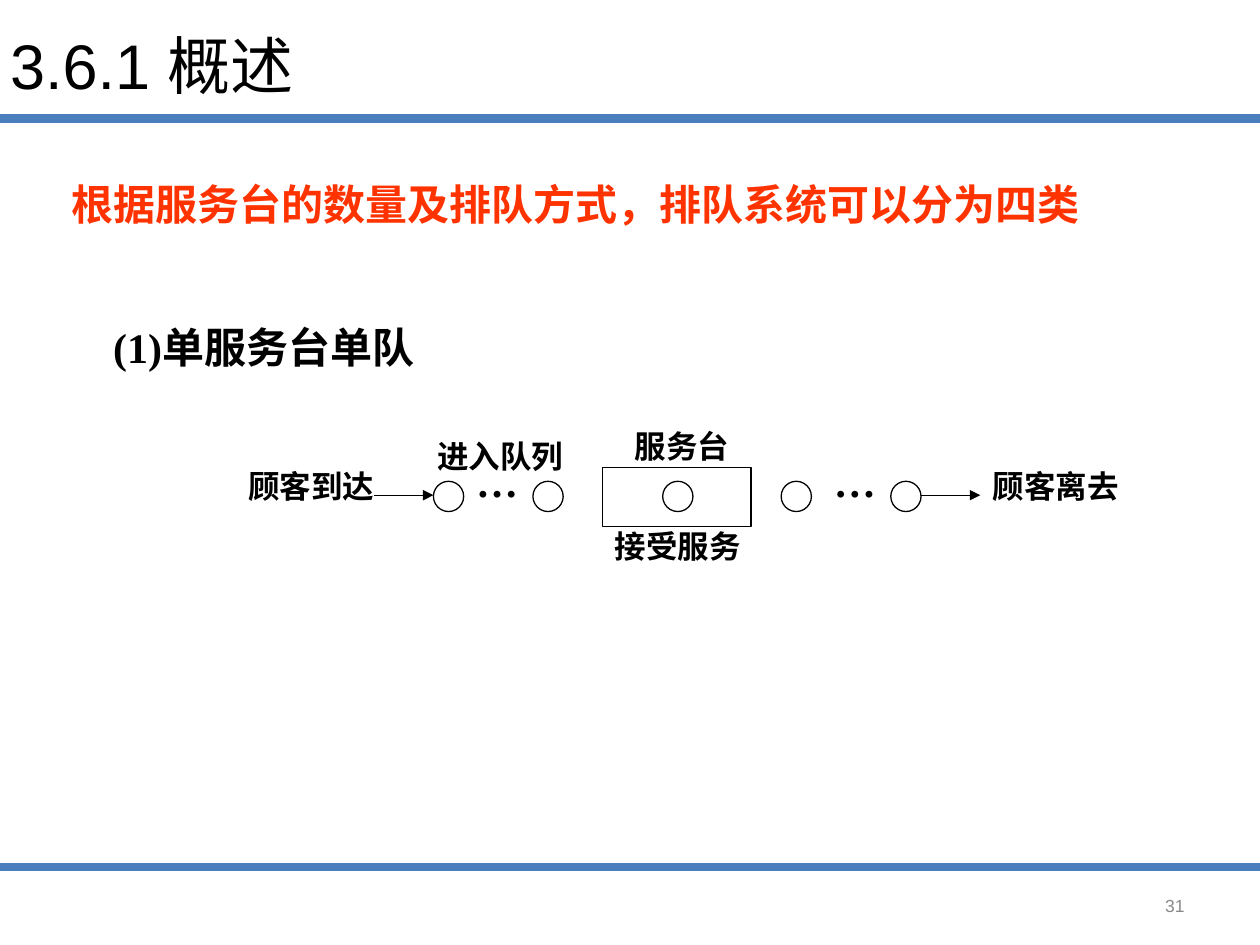
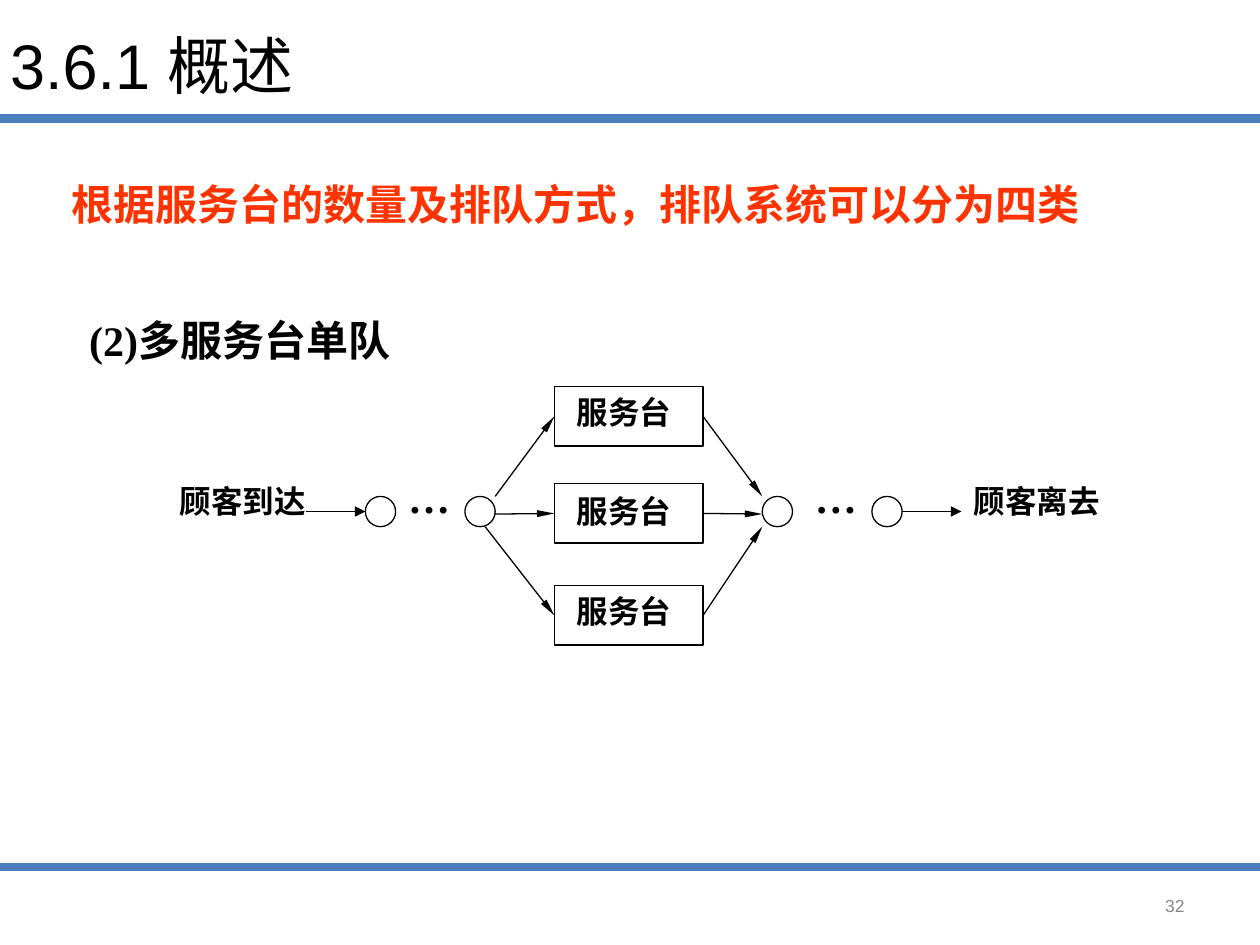
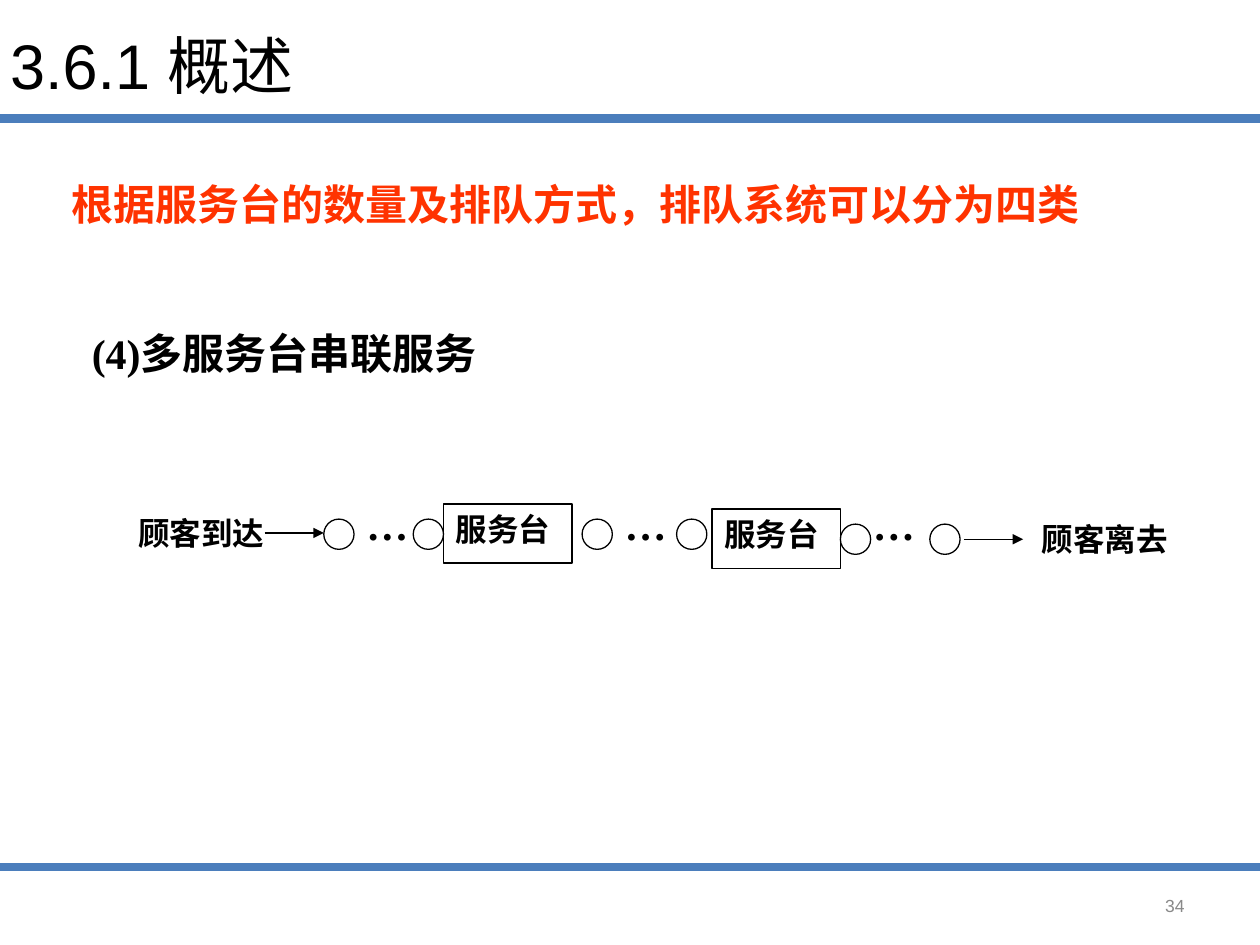
from lxml.etree import SubElement
from pptx import Presentation
from pptx.dml.color import RGBColor
from pptx.enum.shapes import MSO_CONNECTOR, MSO_SHAPE
from pptx.enum.text import MSO_ANCHOR, MSO_AUTO_SIZE, PP_ALIGN
from pptx.oxml.ns import qn
from pptx.util import Inches, Pt

BLACK, BLUE, RED, GREY = "000000", "4B7EBC", "FF3300", "898989"
CIRCLE = 0.24
SERVER_HEIGHT = 0.47
ARROW = 0.47
LEFT_SIDE, RIGHT_SIDE = 1, 3

TITLE = dict(name="Arial", size=Pt(36), bold=False)
HEADING = dict(name="Times New Roman", size=Pt(24), bold=True)
LABEL = dict(name="Times New Roman", size=Pt(18), bold=True)
NUMBER = dict(name="Arial", size=Pt(10), bold=False)


def color(value):
    return RGBColor.from_string(value)


class Deck:
    def __init__(self):
        self.presentation = Presentation()
        self.presentation.slide_width = Inches(10)
        self.presentation.slide_height = Inches(7.5)
        self.layout = self.presentation.slide_layouts.get_by_name("Title Only")
        self.slide = None

    def start_slide(self, number):
        """Add a slide with its title, number and red statement."""
        is_first = self.slide is None
        self.slide = self.presentation.slides.add_slide(self.layout)
        if is_first:
            self.add_bands_to_layout()
        self.title("3.6.1 概述")
        frame = self.text(number, 7.17, 6.99, 2.33, 0.4, NUMBER, GREY, wrap=True)
        frame.auto_size = MSO_AUTO_SIZE.NONE
        frame.vertical_anchor = MSO_ANCHOR.MIDDLE
        frame.paragraphs[0].alignment = PP_ALIGN.RIGHT
        self.text("根据服务台的数量及排队方式，排队系统可以分为四类",
                  0.47, 1.37, 8.28, 0.51, HEADING, RED, wrap=True)

    def add_bands_to_layout(self):
        for y in (0.94, 6.88):
            band = self.line((0, y), (10, y), BLUE, 5)
            self.layout.shapes.element.append(band.element)

    def format(self, paragraph, style, text_color):
        for attribute, value in style.items():
            setattr(paragraph.font, attribute, value)
        paragraph.font.color.rgb = color(text_color)

    def title(self, text):
        shape = self.slide.shapes.title
        shape.left, shape.top = Inches(-0.02), Inches(0.16)
        shape.width, shape.height = Inches(9), Inches(0.7)
        frame = shape.text_frame
        frame.text = text
        frame.auto_size = MSO_AUTO_SIZE.NONE
        frame.vertical_anchor = MSO_ANCHOR.MIDDLE
        frame.paragraphs[0].alignment = PP_ALIGN.LEFT
        self.format(frame.paragraphs[0], TITLE, BLACK)

    def text(self, text, left, top, width, height, style, text_color=BLACK, wrap=False):
        box = self.slide.shapes.add_textbox(
            Inches(left), Inches(top), Inches(width), Inches(height))
        frame = box.text_frame
        frame.text = text
        frame.word_wrap = wrap
        frame.auto_size = MSO_AUTO_SIZE.SHAPE_TO_FIT_TEXT
        self.format(frame.paragraphs[0], style, text_color)
        return frame

    def heading(self, text, left, top, width):
        self.text(text, left, top, width, 0.5, HEADING, wrap=True)

    def label(self, text, left, top):
        self.text(text, left, top, 0.25 * len(text) + 0.21, 0.4, LABEL)

    def dots(self, left, top):
        self.text("…", left, top, 0.53, 0.5, HEADING)

    def outline(self, kind, left, top, width, height):
        shape = self.slide.shapes.add_shape(
            kind, Inches(left), Inches(top), Inches(width), Inches(height))
        shape.shadow.inherit = False
        shape.fill.background()
        shape.line.color.rgb = color(BLACK)
        shape.line.width = Pt(0.75)
        return shape

    def customers(self, top, *lefts):
        for left in lefts:
            self.outline(MSO_SHAPE.OVAL, left, top, CIRCLE, CIRCLE)

    def server(self, left, top, width):
        return self.outline(MSO_SHAPE.RECTANGLE, left, top, width, SERVER_HEIGHT)

    def line(self, start, end, line_color=BLACK, width=0.75):
        connector = self.slide.shapes.add_connector(
            MSO_CONNECTOR.STRAIGHT, *(Inches(value) for value in (*start, *end)))
        connector.line.color.rgb = color(line_color)
        connector.line.width = Pt(width)
        SubElement(connector.element.spPr, qn("a:effectLst"))
        return connector

    def arrow(self, start, end, head_width="med", head_length="med"):
        connector = self.line(start, end)
        SubElement(connector.line._get_or_add_ln(), qn("a:tailEnd"),
                   type="triangle", w=head_width, len=head_length)
        return connector

    def flow_arrow(self, left, y):
        self.arrow((left, y), (left + ARROW, y))


def single_server(deck):
    deck.start_slide("31")
    deck.heading("(1)单服务台单队", 0.8, 2.5, 2.62)
    deck.server(4.78, 3.71, 1.18)
    deck.customers(3.82, 3.44, 4.23, 5.26, 6.2, 7.07)
    for left in (3.68, 6.52):
        deck.dots(left, 3.57)
    for left in (2.97, 7.31):
        deck.flow_arrow(left, 3.93)
    for text, left, top in (("顾客到达", 1.87, 3.66), ("进入队列", 3.37, 3.42),
                            ("服务台", 4.94, 3.34), ("接受服务", 4.78, 4.13),
                            ("顾客离去", 7.78, 3.66)):
        deck.label(text, left, top)


def parallel_servers(deck):
    deck.start_slide("32")
    deck.heading("(2)多服务台单队", 0.61, 2.45, 3.07)
    deck.customers(3.94, 2.9, 3.69, 6.05, 6.92)
    for left in (3.14, 6.37):
        deck.dots(left, 3.69)
    for left in (2.43, 7.16):
        deck.flow_arrow(left, 4.06)
    deck.label("顾客到达", 1.33, 3.78)
    deck.label("顾客离去", 7.63, 3.78)

    left, width = 4.4, 1.18
    right = left + width
    rows = ((3.07, 3.07, (3.93, 3.94), 3.94),
            (3.84, 3.86, (3.93, 4.08), 4.08),
            (4.65, 4.65, (3.85, 4.18), 4.18))
    for top, label_top, queue_end, exit_y in rows:
        server = deck.server(left, top, width)
        deck.label("服务台", left + 0.08, label_top)
        middle = top + SERVER_HEIGHT / 2
        entry = deck.arrow(queue_end, (left, middle), "sm", "lg")
        entry.end_connect(server, LEFT_SIDE)
        departure = deck.arrow((right, middle), (6.05, exit_y), "sm", "lg")
        departure.begin_connect(server, RIGHT_SIDE)


def serial_servers(deck):
    deck.start_slide("34")
    deck.heading("(4)多服务台串联服务", 0.63, 2.55, 3.35)
    deck.customers(4.12, 2.57, 3.28, 4.62, 5.37)
    deck.customers(4.16, 6.67, 7.38)
    for left in (2.81, 4.86, 6.83):
        deck.dots(left, 3.91)
    for left, top in ((3.52, 4), (5.65, 4.04)):
        deck.server(left, top, 1.02)
        deck.label("服务台", left, top)
    deck.flow_arrow(2.1, 4.23)
    deck.flow_arrow(7.65, 4.28)
    deck.label("顾客到达", 1, 4.03)
    deck.label("顾客离去", 8.17, 4.08)


def main():
    deck = Deck()
    single_server(deck)
    parallel_servers(deck)
    serial_servers(deck)
    deck.presentation.save("out.pptx")


if __name__ == "__main__":
    main()
